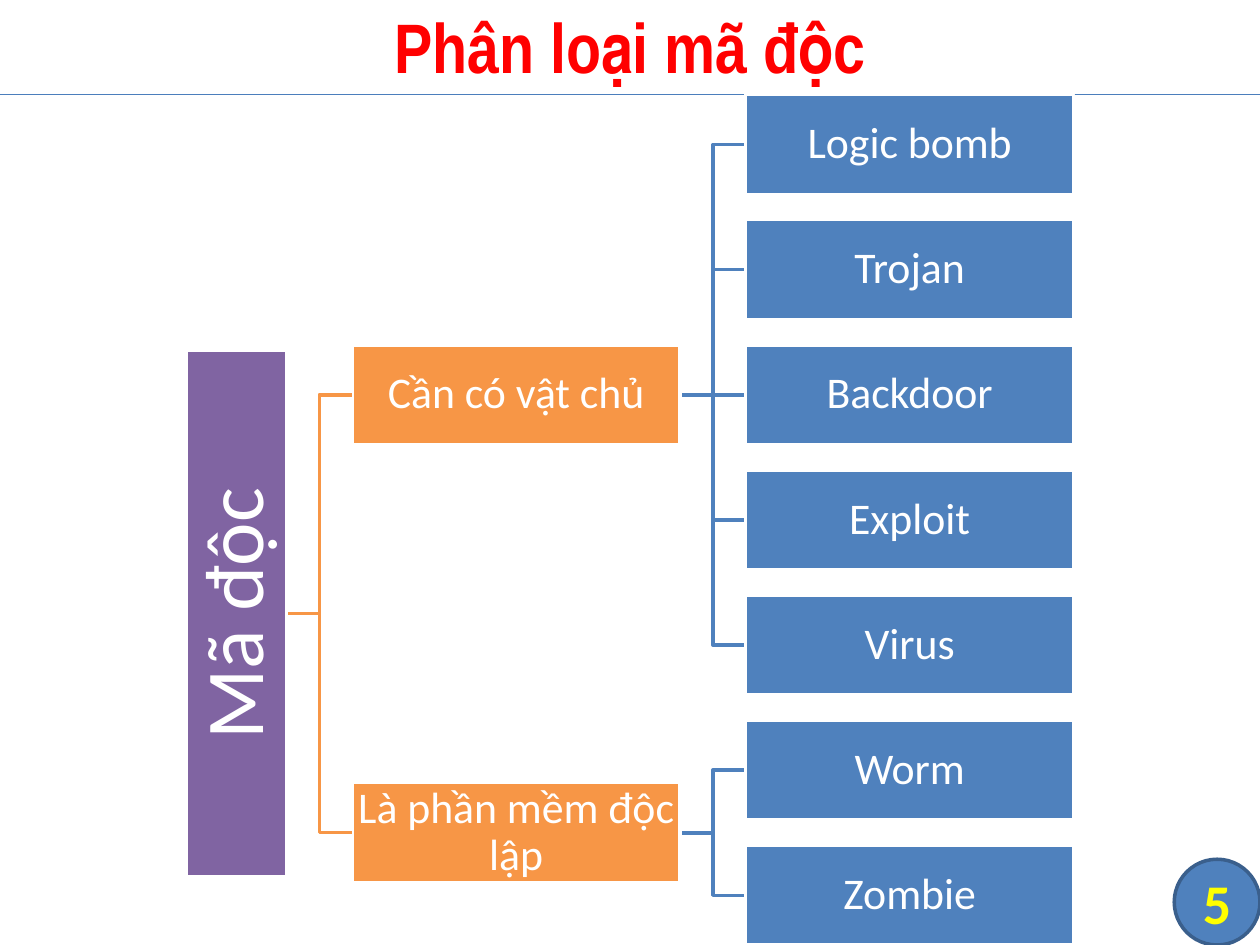
import pptx
import pptx.util
import pptx.dml.color
import pptx.enum.shapes
import pptx.enum.text
import pptx.oxml.ns
import lxml.etree

Pt = pptx.util.Pt
SHAPE = pptx.enum.shapes.MSO_SHAPE

TITLE = "Phân loại mã độc"
ROOT = "Mã độc"
BRANCHES = [
    ("Cần có vật chủ", ["Logic bomb", "Trojan", "Backdoor", "Exploit", "Virus"]),
    ("Là phần mềm độc lập", ["Worm", "Zombie"]),
]
PAGE = "5"

COLORS = {
    "root": "8064A2", "branch": "F79646", "leaf": "4F81BD", "white": "FFFFFF",
    "title": "FF0000", "page": "FFFF00", "rule": "4B7EBC", "badge_line": "3A5F8C",
}

BOX_W, BOX_H = 187.4, 57.1
GAP = 37.5
ROOT_LEN = 301
ROOT_X = 106.6
BRANCH_X = ROOT_X + BOX_H + GAP
LEAF_X = BRANCH_X + BOX_W + GAP
LEAF_Y, LEAF_PITCH = 82.6, 71.5  # centre of the first leaf, step between leaves


def rgb(name):
    return pptx.dml.color.RGBColor.from_string(COLORS[name])


def set_text(s, text, size, color="white", font="Calibri", bold=False, inset=0, spacing=None):
    tf = s.text_frame
    tf.word_wrap = True
    tf.vertical_anchor = pptx.enum.text.MSO_ANCHOR.MIDDLE
    tf.margin_left = tf.margin_right = tf.margin_top = tf.margin_bottom = Pt(inset)
    p = tf.paragraphs[0]
    p.alignment = pptx.enum.text.PP_ALIGN.CENTER
    if spacing:
        p.line_spacing = spacing
    r = p.add_run()
    r.text = text
    r.font.name, r.font.size, r.font.bold = font, Pt(size), bold
    r.font.color.rgb = rgb(color)


def add_box(kind, x, y, w, h, fill, line):
    sp = shapes.add_shape(kind, Pt(x), Pt(y), Pt(w), Pt(h))
    sp.shadow.inherit = False
    sp.fill.solid()
    sp.fill.fore_color.rgb = rgb(fill)
    sp.line.color.rgb = rgb(line)
    sp.line.width = Pt(2)
    return sp


def add_node(text, x, cy, fill):
    sp = add_box(SHAPE.RECTANGLE, x, cy - BOX_H / 2, BOX_W, BOX_H, fill, "white")
    set_text(sp, text, 25, inset=1.25, spacing=0.9)


def add_line(x1, y1, x2, y2, color, width):
    line = shapes.add_connector(pptx.enum.shapes.MSO_CONNECTOR.STRAIGHT,
                                Pt(x1), Pt(y1), Pt(x2), Pt(y2))
    line.line.color.rgb = rgb(color)
    line.line.width = Pt(width)
    sp_pr = line._element.spPr
    lxml.etree.SubElement(sp_pr, pptx.oxml.ns.qn("a:effectLst"))


def add_link(x, y1, y2, color):
    """Join a parent at y1 to a child at y2 across the gap that starts at x."""
    if abs(y1 - y2) < 0.01:
        add_line(x, y1, x + GAP, y2, color, 2)
        return
    mid = x + GAP / 2
    builder = shapes.build_freeform(Pt(x), Pt(y1))
    builder.add_line_segments(
        [(Pt(mid), Pt(y1)), (Pt(mid), Pt(y2)), (Pt(x + GAP), Pt(y2))], close=False)
    sp = builder.convert_to_shape()
    sp.shadow.inherit = False
    sp.fill.background()
    sp.line.color.rgb = rgb(color)
    sp.line.width = Pt(2)


def mean(values):
    return sum(values) / len(values)


prs = pptx.Presentation()
prs.slide_width, prs.slide_height = Pt(720), Pt(540)
slide = prs.slides.add_slide(prs.slide_layouts[5])
shapes = slide.shapes

title = shapes.title
title.left, title.top, title.width, title.height = Pt(0), Pt(-2.2), Pt(720), Pt(56.2)
set_text(title, TITLE, 40, color="title", font="Arial Narrow", bold=True, inset=3.6)

add_line(0, 54, 720, 54, "rule", 0.75)
badge = add_box(SHAPE.FLOWCHART_CONNECTOR, 671, 491, 49, 49, "leaf", "badge_line")
set_text(badge, PAGE, 32, color="page", bold=True)

leaf_y = LEAF_Y
branch_ys = []
for branch, leaves in BRANCHES:
    ys = [leaf_y + i * LEAF_PITCH for i in range(len(leaves))]
    leaf_y += len(leaves) * LEAF_PITCH
    cy = mean(ys)
    branch_ys.append(cy)
    for y in ys:
        add_link(BRANCH_X + BOX_W, cy, y, "leaf")
    add_node(branch, BRANCH_X, cy, "branch")
    for leaf, y in zip(leaves, ys):
        add_node(leaf, LEAF_X, y, "leaf")

root_y = mean(branch_ys)
for y in branch_ys:
    add_link(ROOT_X + BOX_H, root_y, y, "branch")
root = add_box(SHAPE.RECTANGLE, ROOT_X + (BOX_H - ROOT_LEN) / 2, root_y - BOX_H / 2,
               ROOT_LEN, BOX_H, "root", "white")
root.rotation = 270
set_text(root, ROOT, 47, inset=2.3, spacing=0.9)

prs.save("out.pptx")
